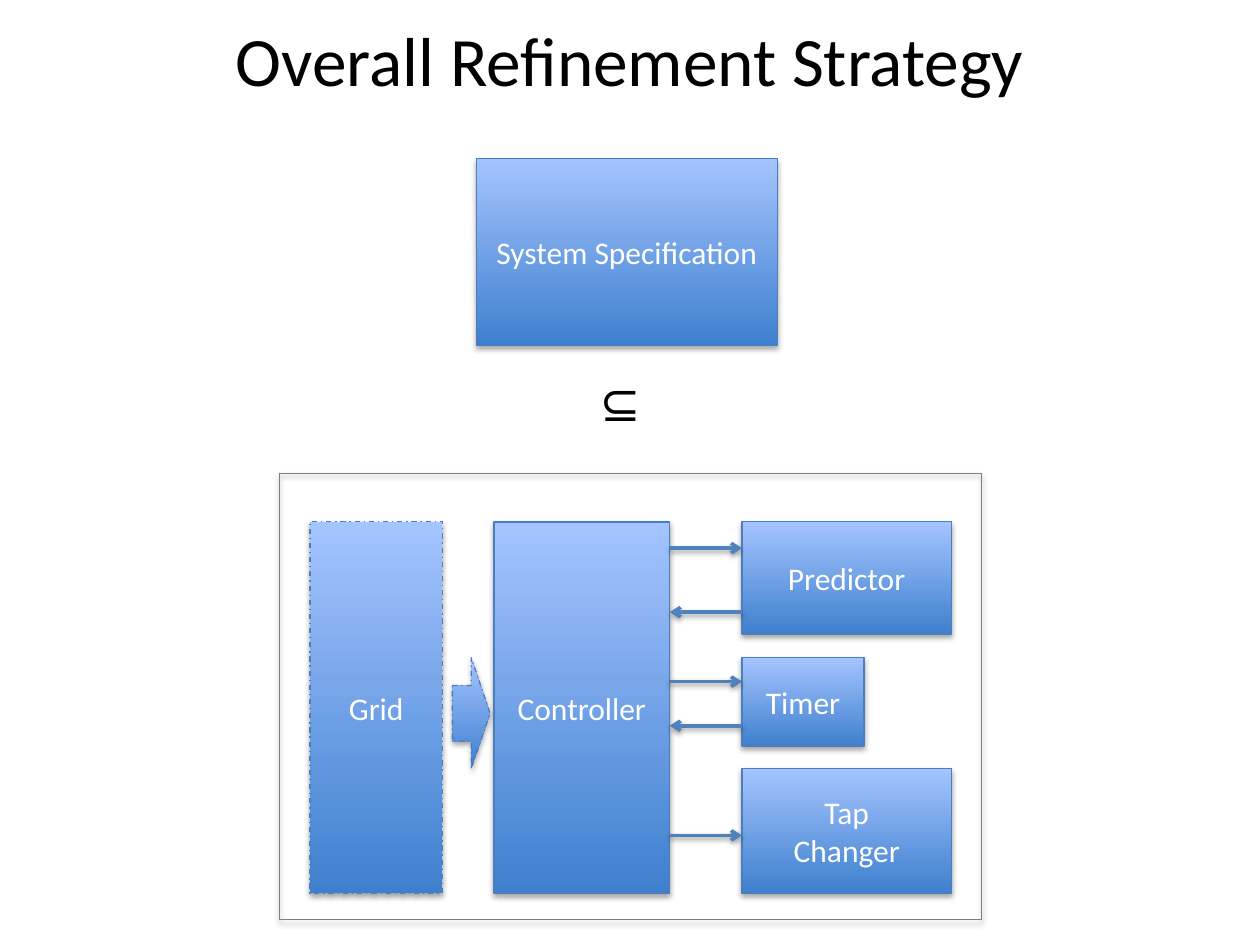
"""Build the refinement strategy slide: a specification refined by a controller system."""
from lxml import etree
from pptx import Presentation
from pptx.dml.color import RGBColor
from pptx.enum.dml import MSO_LINE
from pptx.enum.shapes import MSO_CONNECTOR, MSO_SHAPE
from pptx.enum.text import MSO_ANCHOR, PP_ALIGN
from pptx.oxml.ns import qn
from pptx.util import Cm, Pt

RECT, ARROW = MSO_SHAPE.RECTANGLE, MSO_SHAPE.RIGHT_ARROW
STRAIGHT = MSO_CONNECTOR.STRAIGHT
DASH_DOT = MSO_LINE.DASH_DOT
CENTER, MIDDLE = PP_ALIGN.CENTER, MSO_ANCHOR.MIDDLE
FONT = "Calibri"
COLORS = {"dark": "3F80CE", "light": "A4C4FF", "edge": "4B7EBC", "link": "4F81BD",
          "frame": "7F7F7F", "text": "000000", "label": "FFFFFF"}


def style_text(tf, size, color):
    for p in tf.paragraphs:
        for r in p.runs:
            r.font.name = FONT
            r.font.size = Pt(size)
            r.font.color.rgb = RGBColor.from_string(COLORS[color])


def add_shadow(sp, distance, alpha):
    effects = etree.SubElement(sp._element.spPr, qn("a:effectLst"))
    shadow = etree.SubElement(effects, qn("a:outerShdw"), blurRad="40000", dist=str(distance),
                              dir="5400000", rotWithShape="0")
    color = etree.SubElement(shadow, qn("a:srgbClr"), val="000000")
    etree.SubElement(color, qn("a:alpha"), val=str(alpha * 1000))


prs = Presentation()
prs.slide_width, prs.slide_height = Cm(25.4), Cm(19.05)
s = prs.slides.add_slide(prs.slide_layouts[5])

title = s.shapes.title
title.left, title.top, title.width, title.height = Cm(1.27), Cm(0.2), Cm(22.86), Cm(1.96)
tf = title.text_frame
tf.text = "Overall Refinement Strategy"
tf.vertical_anchor = MIDDLE
tf.paragraphs[0].alignment = CENTER
style_text(tf, 39.6, "text")

top, bottom = 10.52, 18.01
controller_right, parts_left = 13.5, 14.96
timer_top, tap_top = 13.26, 15.49
system = s.shapes.add_group_shape()

boxes = [
    (s, RECT, "System Specification", 9.6, 3.2, 6.07, 3.76, 0.75, None),
    (system, RECT, "Grid", 6.25, top, 2.67, bottom - top, 0.75, DASH_DOT),
    (system, RECT, "Controller", 9.96, top, controller_right - 9.96, bottom - top, 1, None),
    (system, RECT, "Predictor", parts_left, top, 4.22, 2.26, 0.75, None),
    (system, RECT, "Tap\nChanger", parts_left, tap_top, 4.22, bottom - tap_top, 0.75, None),
    (system, RECT, "Timer", parts_left, timer_top, 2.46, 1.78, 0.75, None),
    (system, ARROW, "", 9.12, timer_top, 0.76, 2.24, 0.75, DASH_DOT),
]
for parent, kind, label, x, y, w, h, weight, dash in boxes:
    sp = parent.shapes.add_shape(kind, Cm(x), Cm(y), Cm(w), Cm(h))
    sp.fill.gradient()
    sp.fill.gradient_angle = 90
    for stop, name in zip(sp.fill.gradient_stops, ("dark", "light")):
        stop.color.rgb = RGBColor.from_string(COLORS[name])
    sp.line.color.rgb = RGBColor.from_string(COLORS["edge"])
    sp.line.width = Pt(weight)
    if dash:
        sp.line.dash_style = dash
    add_shadow(sp, 23000, 35)
    if label:
        tf = sp.text_frame
        tf.text = label
        tf.vertical_anchor = MIDDLE
        for p in tf.paragraphs:
            p.alignment = CENTER
        style_text(tf, 18, "label")

outward, inward = (controller_right, parts_left), (parts_left, controller_right)
links = [(11.05, outward), (13.74, outward), (16.84, outward), (12.34, inward), (14.63, inward)]
for y, (start, end) in links:
    link = system.shapes.add_connector(STRAIGHT, Cm(start), Cm(y), Cm(end), Cm(y))
    link.line.color.rgb = RGBColor.from_string(COLORS["link"])
    link.line.width = Pt(2)
    etree.SubElement(link.line._get_or_add_ln(), qn("a:tailEnd"), type="arrow")
    add_shadow(link, 20000, 38)

frame = system.shapes.add_shape(RECT, Cm(5.64), Cm(9.55), Cm(14.15), Cm(8.99))
frame.fill.background()
frame.line.color.rgb = RGBColor.from_string(COLORS["frame"])
frame.line.width = Pt(0.75)
add_shadow(frame, 23000, 35)

symbol = s.shapes.add_textbox(Cm(11.84), Cm(7.39), Cm(1.5), Cm(1.45))
symbol.text_frame.text = "⊆"
style_text(symbol.text_frame, 28, "text")

prs.save("out.pptx")
